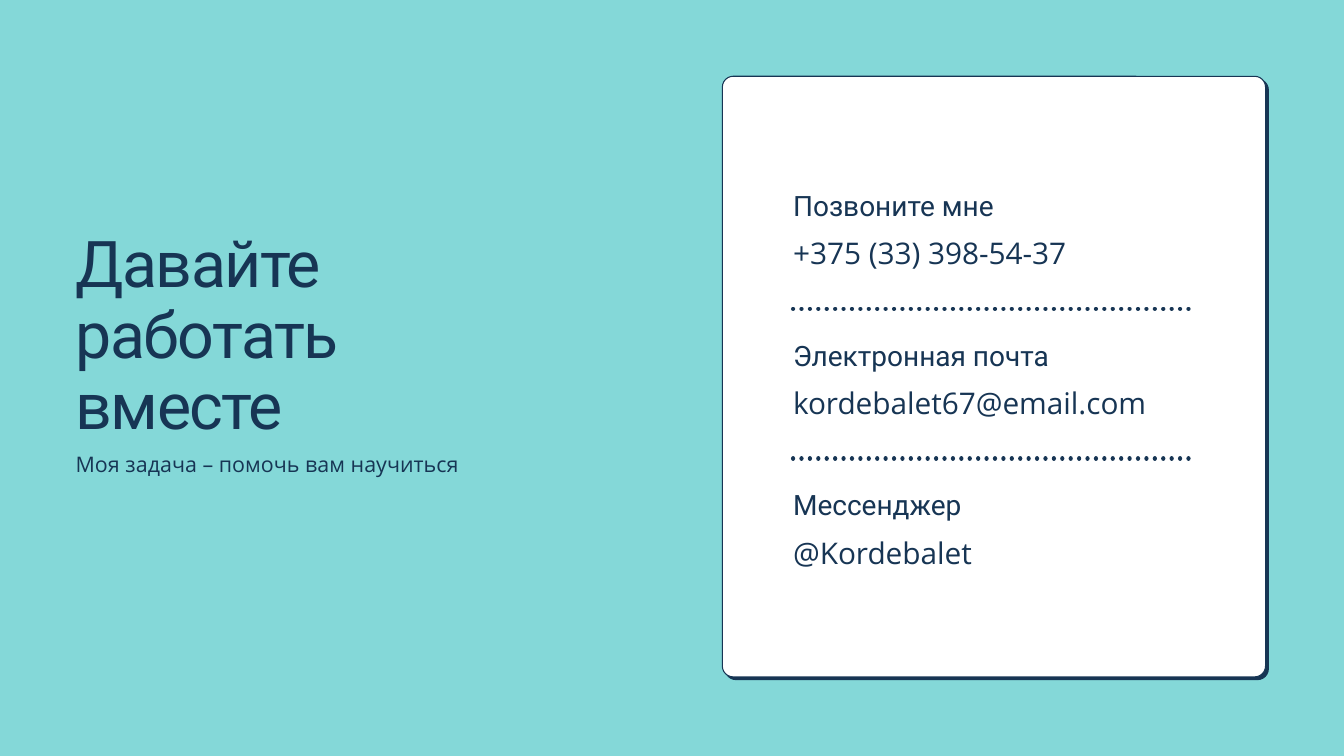
from dataclasses import dataclass

from lxml.etree import SubElement
from pptx import Presentation
from pptx.dml.color import RGBColor
from pptx.enum.dml import MSO_LINE
from pptx.enum.shapes import MSO_CONNECTOR, MSO_SHAPE
from pptx.enum.text import MSO_ANCHOR, MSO_AUTO_SIZE, PP_ALIGN
from pptx.oxml.ns import qn
from pptx.util import Pt


@dataclass(frozen=True)
class Style:
    font: str
    size: float
    lead: float
    track: float = 0


@dataclass(frozen=True)
class Theme:
    ink: RGBColor = RGBColor(0x17, 0x35, 0x54)
    paper: RGBColor = RGBColor(0xFF, 0xFF, 0xFF)
    back: RGBColor = RGBColor(0x84, 0xD8, 0xD8)
    title: Style = Style("Roboto", 46, 50.6, -1.1)
    note: Style = Style("Open Sans", 15.3, 19.9)
    label: Style = Style("Roboto", 20, 26)
    value: Style = Style("Open Sans", 21.3, 27.7)


THEME = Theme()
CONTACTS = [
    ("Позвоните мне", "+375 (33) 398-54-37"),
    ("Электронная почта", "kordebalet67@email.com"),
    ("Мессенджер", "@Kordebalet"),
]


def write(shape, text, style, left, top, width, height):
    """Place a text shape and give it one styled paragraph."""
    shape.left, shape.top = Pt(left), Pt(top)
    shape.width, shape.height = Pt(width), Pt(height)
    frame = shape.text_frame
    frame.text = text
    frame.word_wrap = True
    frame.auto_size = MSO_AUTO_SIZE.NONE
    frame.vertical_anchor = MSO_ANCHOR.TOP
    frame.margin_left = frame.margin_right = 0
    frame.margin_top = frame.margin_bottom = 0
    para = frame.paragraphs[0]
    para.alignment = PP_ALIGN.LEFT
    para.line_spacing = Pt(style.lead)
    para.space_before = Pt(0)
    run = para.runs[0]
    run.font.name = style.font
    run.font.size = Pt(style.size)
    run.font.color.rgb = THEME.ink
    if style.track:
        run.font._element.set("spc", str(round(style.track * 100)))


def intro(slide, left, top, width):
    head, note = slide.placeholders
    write(head, "Давайте работать вместе", THEME.title, left, top, width, 155)
    write(note, "Моя задача – помочь вам научиться", THEME.note,
          left, top + 157, width, 20)


def panel(slide, left, top, width, height, fill):
    """Add a rounded sheet with a thin dark edge."""
    shape = slide.shapes.add_shape(
        MSO_SHAPE.ROUNDED_RECTANGLE,
        Pt(left), Pt(top), Pt(width), Pt(height))
    shape.adjustments[0] = 0.02
    shape.shadow.inherit = False
    shape.fill.solid()
    shape.fill.fore_color.rgb = fill
    shape.line.color.rgb = THEME.ink
    shape.line.width = Pt(0.75)


def divider(slide, left, top, width):
    rule = slide.shapes.add_connector(
        MSO_CONNECTOR.STRAIGHT,
        Pt(left), Pt(top), Pt(left + width), Pt(top))
    rule.line.color.rgb = THEME.ink
    rule.line.width = Pt(3)
    rule.line.dash_style = MSO_LINE.ROUND_DOT
    props = rule._element.spPr
    props.find(qn("a:ln")).set("cap", "rnd")
    SubElement(props, qn("a:effectLst"))


def card(slide, left, top, width, height):
    """Draw the contact card: two sheets, then evenly spaced entries."""
    panel(slide, left + 2, top + 2, width, height, THEME.ink)
    panel(slide, left, top, width, height, THEME.paper)
    inset, step = 50.5, 107
    x, wide = left + inset, width - 2 * inset + 1
    for i, (label, value) in enumerate(CONTACTS):
        y = top + 78 + i * step
        if i:
            divider(slide, x, y - 19, wide)
        for text, style, drop in ((label, THEME.label, 0),
                                  (value, THEME.value, 33)):
            box = slide.shapes.add_textbox(0, 0, 0, 0)
            write(box, text, style, x, y + drop, wide, style.lead)


def main():
    deck = Presentation()
    deck.slide_width, deck.slide_height = Pt(960), Pt(540)
    slide = deck.slides.add_slide(deck.slide_layouts[0])
    slide.background.fill.solid()
    slide.background.fill.fore_color.rgb = THEME.back
    intro(slide, 54, 164, 335)
    card(slide, 516, 54.5, 388, 429)
    deck.save("out.pptx")


if __name__ == "__main__":
    main()
